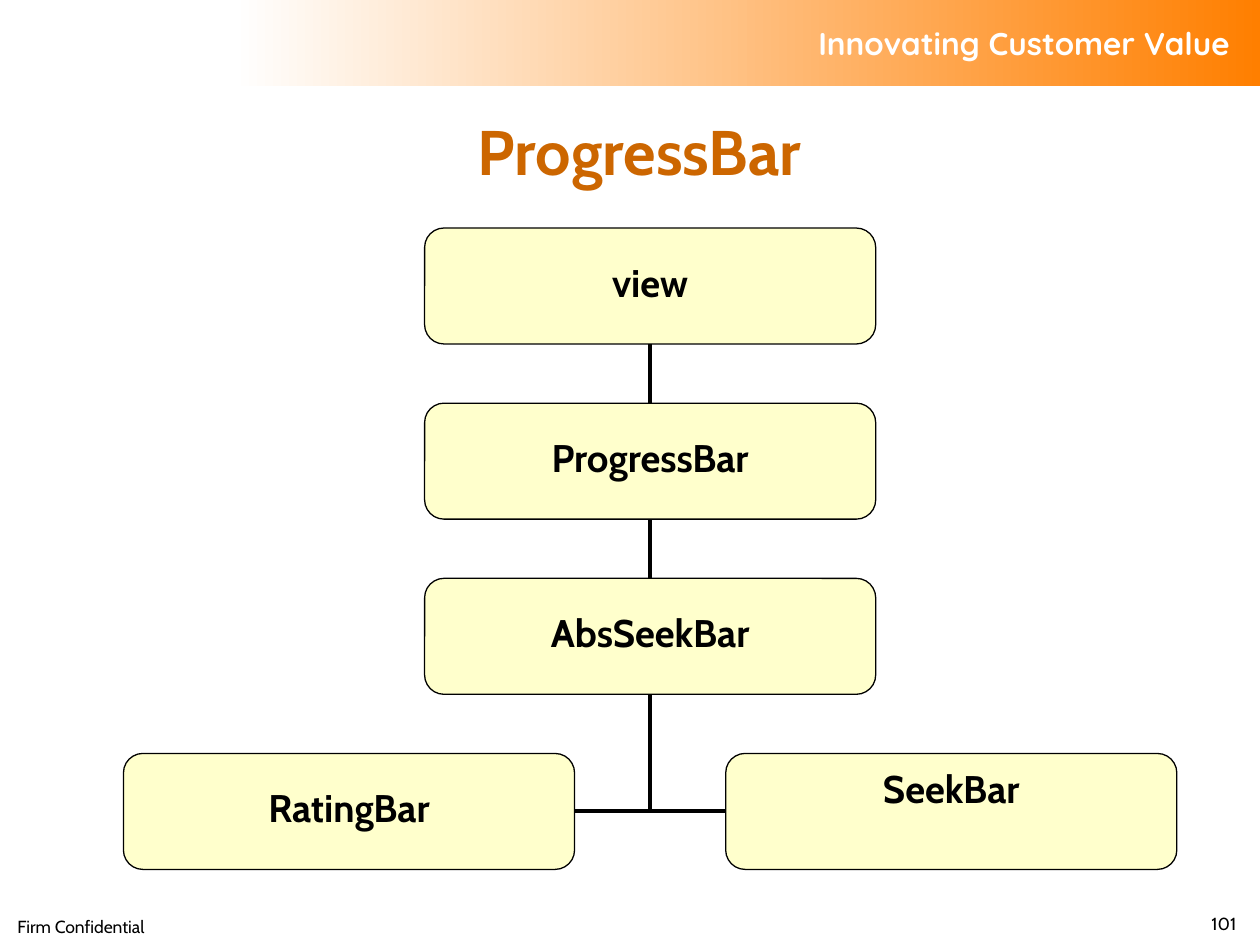
from lxml.etree import SubElement
from pptx import Presentation
from pptx.dml.color import RGBColor
from pptx.enum.shapes import MSO_CONNECTOR, MSO_SHAPE
from pptx.enum.text import MSO_ANCHOR, PP_ALIGN
from pptx.oxml.ns import qn
from pptx.util import Inches, Pt

COLORS = {
    "orange": "FF7F00",
    "white": "FFFFFF",
    "title": "CC6600",
    "node": "FFFFCC",
    "black": "000000",
}
NODE_WIDTH, NODE_HEIGHT = 3.58, 0.92
FIRST_LEFT, COLUMN_STEP = 0.98, 2.39
FIRST_TOP, ROW_STEP = 1.81, 1.39
NODES = {
    "view": (1, 0),
    "ProgressBar": (1, 1),
    "AbsSeekBar": (1, 2),
    "RatingBar": (0, 3),
    "SeekBar": (2, 3),
}


def color(name):
    return RGBColor.from_string(COLORS[name])


def write(box, text, size, ink="black", font="Cabin", bold=False,
          align=PP_ALIGN.LEFT, anchor=MSO_ANCHOR.MIDDLE):
    frame = box.text_frame
    frame.word_wrap = True
    frame.vertical_anchor = anchor
    para = frame.paragraphs[0]
    para.text = text
    para.alignment = align
    para.font.name = font
    para.font.size = Pt(size)
    para.font.bold = bold
    para.font.color.rgb = color(ink)
    return para


def add_text(page, bounds, text, size, **style):
    box = page.shapes.add_textbox(*map(Inches, bounds))
    write(box, text, size, **style)


def add_banner(page, text):
    banner = page.shapes.add_shape(
        MSO_SHAPE.RECTANGLE, *map(Inches, (1.85, 0, 8.15, 0.68)))
    banner.shadow.inherit = False
    banner.line.fill.background()
    banner.fill.gradient()
    banner.fill.gradient_angle = 180
    for stop, name in zip(banner.fill.gradient_stops, ("orange", "white")):
        stop.color.rgb = color(name)
    write(banner, text, 18, ink="white", font="Quicksand", bold=True,
          align=PP_ALIGN.RIGHT)
    banner.text_frame.margin_right = Inches(0.24)


def add_node(page, text, column, row):
    node = page.shapes.add_shape(
        MSO_SHAPE.ROUNDED_RECTANGLE,
        Inches(FIRST_LEFT + column * COLUMN_STEP),
        Inches(FIRST_TOP + row * ROW_STEP),
        Inches(NODE_WIDTH), Inches(NODE_HEIGHT))
    node.shadow.inherit = False
    node.fill.solid()
    node.fill.fore_color.rgb = color("node")
    node.line.color.rgb = color("black")
    node.line.width = Pt(0.75)
    para = write(node, text, 22, bold=True, align=PP_ALIGN.CENTER)
    para.line_spacing = 0.8
    para.space_before = Pt(5.5)
    frame = node.text_frame
    frame.margin_left = frame.margin_right = 0
    frame.margin_top = frame.margin_bottom = 0
    return node


def add_link(page, start, start_site, end=None, end_site=None, end_point=(0, 0)):
    link = page.shapes.add_connector(
        MSO_CONNECTOR.STRAIGHT, 0, 0, *end_point)
    link.begin_connect(start, start_site)
    if end is not None:
        link.end_connect(end, end_site)
    link.line.color.rgb = color("black")
    link.line.width = Pt(2.25)
    SubElement(link._element.spPr, qn("a:effectLst"))


def add_hierarchy(page):
    nodes = {name: add_node(page, name, *cell) for name, cell in NODES.items()}
    nodes["SeekBar"].text_frame.margin_bottom = Inches(0.3)
    seek_base, rating = nodes["AbsSeekBar"], nodes["RatingBar"]
    add_link(page, nodes["view"], 2, nodes["ProgressBar"], 0)
    add_link(page, nodes["ProgressBar"], 2, seek_base, 0)
    junction = (seek_base.left + seek_base.width // 2,
                rating.top + rating.height // 2)
    add_link(page, seek_base, 2, end_point=junction)
    add_link(page, rating, 3, nodes["SeekBar"], 1)


def main():
    """Build the ProgressBar class hierarchy slide."""
    deck = Presentation()
    deck.slide_width, deck.slide_height = Inches(10), Inches(7.5)
    page = deck.slides.add_slide(deck.slide_layouts[6])
    add_banner(page, "Innovating Customer Value")
    add_text(page, (0.64, 0.76, 8.87, 0.87), "ProgressBar", 36,
             ink="title", bold=True, align=PP_ALIGN.CENTER)
    add_hierarchy(page)
    add_text(page, (0.04, 7.22, 3.17, 0.24), "Firm Confidential", 10,
             anchor=MSO_ANCHOR.TOP)
    add_text(page, (7.91, 7.22, 2, 0.24), "101", 10,
             align=PP_ALIGN.RIGHT, anchor=MSO_ANCHOR.BOTTOM)
    deck.save("out.pptx")


if __name__ == "__main__":
    main()
